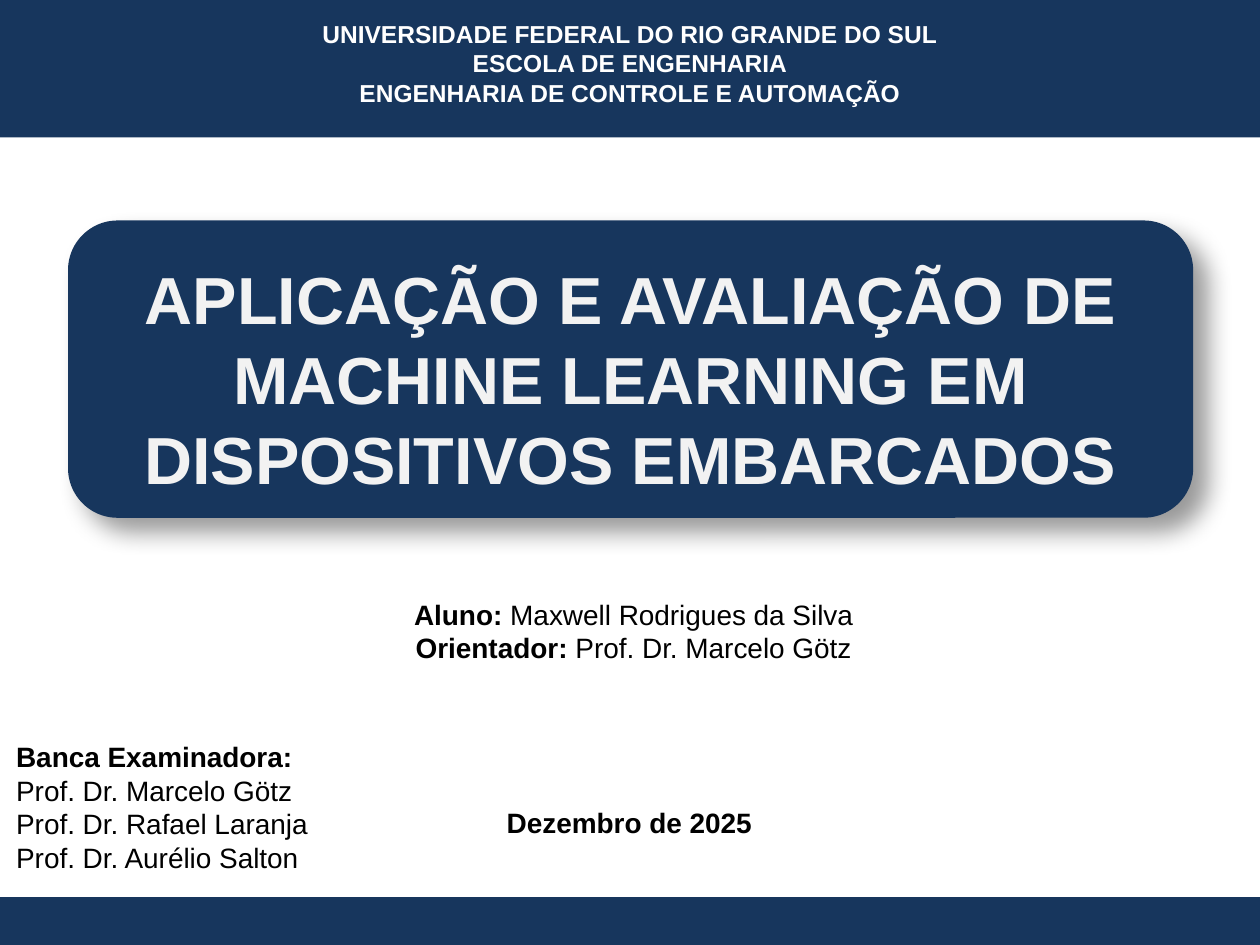
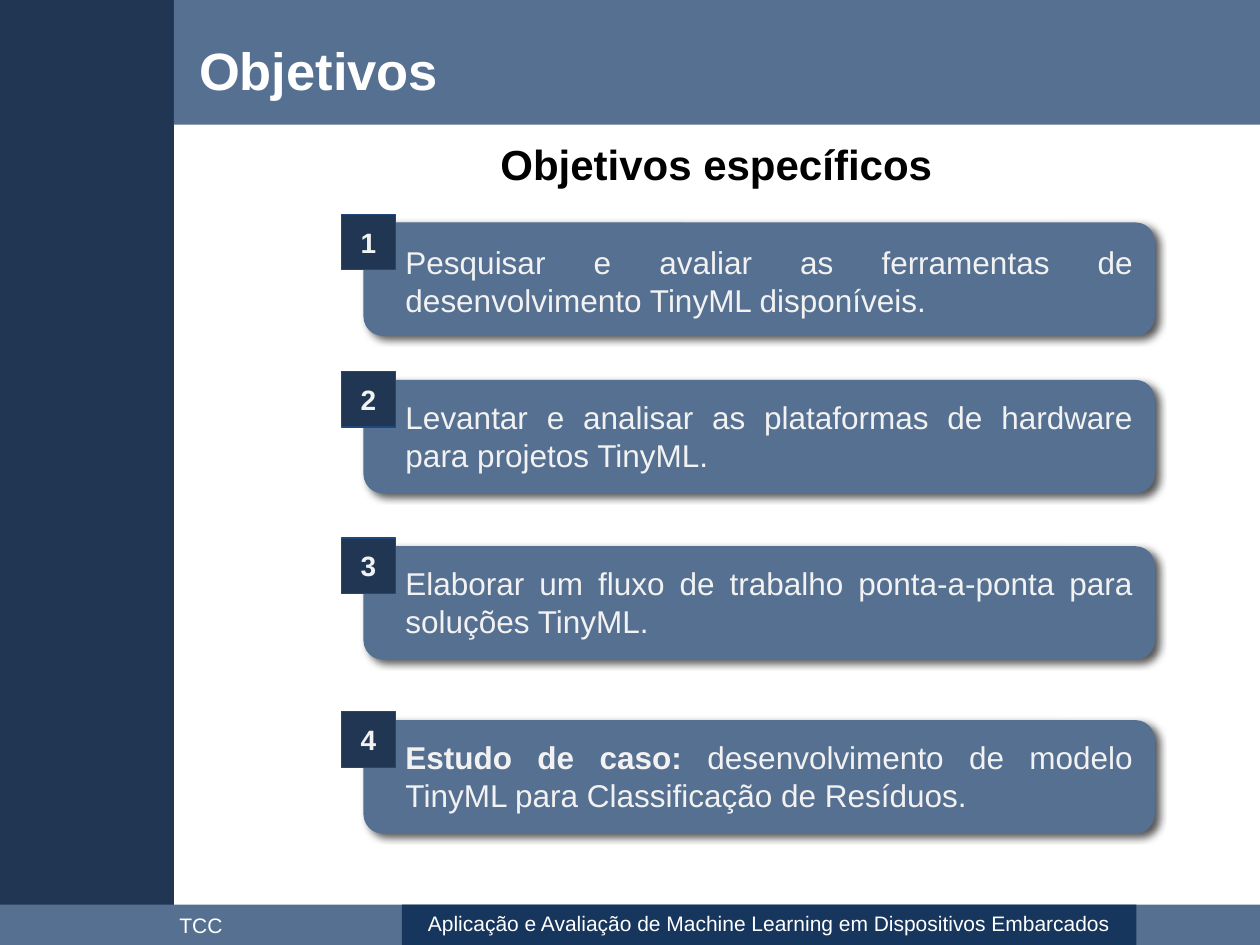
import pptx
import pptx.util
import pptx.dml.color
import pptx.enum.shapes
import pptx.enum.text
import pptx.oxml

Inches, Pt = pptx.util.Inches, pptx.util.Pt
RGBColor = pptx.dml.color.RGBColor
SHAPE = pptx.enum.shapes.MSO_SHAPE
ALIGN = pptx.enum.text.PP_ALIGN
ANCHOR = pptx.enum.text.MSO_ANCHOR

NAVY = RGBColor(0x17, 0x36, 0x5D)
DARK = RGBColor(0x20, 0x36, 0x52)
STEEL = RGBColor(0x56, 0x70, 0x91)
EDGE = RGBColor(0x1F, 0x49, 0x7D)
PALE = RGBColor(0xF2, 0xF2, 0xF2)
WHITE = RGBColor(0xFF, 0xFF, 0xFF)
BLACK = RGBColor(0, 0, 0)
FONT = "Arial"

# Each paragraph is a pair: bold lead, regular remainder
INSTITUTION = [
    ("UNIVERSIDADE FEDERAL DO RIO GRANDE DO SUL", ""),
    ("ESCOLA DE ENGENHARIA", ""),
    ("ENGENHARIA DE CONTROLE E AUTOMAÇÃO", ""),
]
THESIS_TITLE = "APLICAÇÃO E AVALIAÇÃO DE MACHINE LEARNING EM DISPOSITIVOS EMBARCADOS"
AUTHORS = [
    ("Aluno:", " Maxwell Rodrigues da Silva"),
    ("Orientador:", " Prof. Dr. Marcelo Götz"),
]
COMMITTEE = [
    ("Banca Examinadora:", ""),
    ("", "Prof. Dr. Marcelo Götz"),
    ("", "Prof. Dr. Rafael Laranja"),
    ("", "Prof. Dr. Aurélio Salton"),
]
DATE = [("Dezembro de 2025", "")]

SECTION_TITLE = "Objetivos"
SUBTITLE = [("Objetivos específicos", "")]
# Card top, text top, bold lead, regular remainder
GOALS = [
    (1.77, 1.83, "", "Pesquisar e avaliar as ferramentas de desenvolvimento TinyML disponíveis."),
    (3.02, 3.06, "", "Levantar e analisar as plataformas de hardware para projetos TinyML."),
    (4.34, 4.38, "", "Elaborar um fluxo de trabalho ponta-a-ponta para soluções TinyML."),
    (5.72, 5.76, "Estudo de caso:", " desenvolvimento de modelo TinyML para Classificação de Resíduos."),
]
FOOTER_LABEL = [("", "TCC")]
FOOTER_TITLE = [("", "Aplicação e Avaliação de Machine Learning em Dispositivos Embarcados")]

# Opacity (%), blur (pt), distance (pt), angle (degrees)
TITLE_SHADOW = (40, 14, 12, 45)
CARD_SHADOW = (65, 4.5, 3, 38)


def write(frame, paragraphs, size, color, align=ALIGN.CENTER, anchor=ANCHOR.TOP, inset=0.05):
    """Fill a text frame with (bold lead, regular remainder) paragraphs."""
    frame.word_wrap = True
    frame.auto_size = pptx.enum.text.MSO_AUTO_SIZE.NONE
    frame.vertical_anchor = anchor
    frame.margin_left = frame.margin_right = Inches(0.1)
    frame.margin_top = frame.margin_bottom = Inches(inset)
    for index, parts in enumerate(paragraphs):
        paragraph = frame.add_paragraph() if index else frame.paragraphs[0]
        paragraph.alignment = align
        for text, bold in zip(parts, (True, False)):
            if text:
                run = paragraph.add_run()
                run.text = text
                run.font.name = FONT
                run.font.size = Pt(size)
                run.font.bold = bold
                run.font.color.rgb = color


def add_text(slide, box, paragraphs, size, color, **style):
    textbox = slide.shapes.add_textbox(*map(Inches, box))
    write(textbox.text_frame, paragraphs, size, color, **style)


def add_block(slide, box, fill, kind=SHAPE.RECTANGLE, line=None, shadow=None):
    block = slide.shapes.add_shape(kind, *map(Inches, box))
    block.fill.solid()
    block.fill.fore_color.rgb = fill
    if line is None:
        block.line.fill.background()
    else:
        block.line.color.rgb = line
        block.line.width = Pt(0.75)
    block.shadow.inherit = False
    if shadow:
        add_shadow(block, *shadow)
    return block


def add_shadow(block, opacity, blur, distance, angle):
    effects = block._element.spPr.find(pptx.oxml.ns.qn("a:effectLst"))
    effects.append(pptx.oxml.parse_xml(
        f'<a:outerShdw {pptx.oxml.ns.nsdecls("a")} blurRad="{Pt(blur)}" dist="{Pt(distance)}" '
        f'dir="{angle * 60000}" algn="tl" rotWithShape="0"><a:srgbClr val="000000">'
        f'<a:alpha val="{opacity * 1000}"/></a:srgbClr></a:outerShdw>'))


def place_title(slide, box, text, size, color, align):
    """Format the title placeholder and bring it in front of the bands."""
    title = slide.shapes.title
    title.left, title.top, title.width, title.height = map(Inches, box)
    write(title.text_frame, [(text, "")], size, color, align=align)
    slide.shapes._spTree.append(title._element)


def build_cover(slide):
    add_block(slide, (0, 0, 10, 1.09), NAVY)
    add_text(slide, (1.67, 0.1, 6.66, 0.79), INSTITUTION, 14, WHITE)
    add_block(slide, (0.54, 1.75, 8.93, 2.36), NAVY, SHAPE.ROUNDED_RECTANGLE, shadow=TITLE_SHADOW)
    place_title(slide, (0.54, 2, 8.93, 1.95), THESIS_TITLE, 38, PALE, ALIGN.CENTER)
    add_text(slide, (0.03, 4.69, 10, 0.65), AUTHORS, 16, BLACK)
    add_text(slide, (0.03, 5.82, 3.5, 1.2), COMMITTEE, 16, BLACK, align=ALIGN.LEFT)
    add_text(slide, (3.56, 6.29, 2.87, 0.47), DATE, 16, BLACK, inset=0.1)
    add_block(slide, (0, 7.12, 10, 0.38), NAVY)


def add_goal(slide, number, card_top, text_top, lead, remainder):
    add_block(slide, (2.89, card_top, 6.27, 0.89), STEEL, SHAPE.ROUNDED_RECTANGLE,
              line=STEEL, shadow=CARD_SHADOW)
    badge = add_block(slide, (2.71, card_top - 0.07, 0.43, 0.44), DARK, line=EDGE)
    write(badge.text_frame, [(str(number), "")], 16, PALE, anchor=ANCHOR.MIDDLE, inset=0.1)
    add_text(slide, (3.12, text_top, 5.97, 0.81), [(lead, remainder)], 18, PALE,
             align=ALIGN.JUSTIFY, inset=0.1)


def build_goals(slide):
    add_block(slide, (0, 0, 1.38, 7.5), DARK)
    add_block(slide, (1.38, 0, 8.62, 0.99), STEEL)
    place_title(slide, (1.48, 0.25, 6.66, 0.64), SECTION_TITLE, 30, WHITE, ALIGN.LEFT)
    add_text(slide, (1.62, 1.05, 8.13, 0.5), SUBTITLE, 24, BLACK)
    for number, goal in enumerate(GOALS, 1):
        add_goal(slide, number, *goal)
    add_block(slide, (0, 7.18, 10, 0.32), STEEL)
    footer = add_block(slide, (3.19, 7.18, 5.83, 0.34), NAVY)
    write(footer.text_frame, FOOTER_TITLE, 12, WHITE)
    add_text(slide, (0, 7.19, 3.19, 0.31), FOOTER_LABEL, 12, WHITE)


def main():
    deck = pptx.Presentation()
    deck.slide_width, deck.slide_height = Inches(10), Inches(7.5)
    title_only = deck.slide_layouts[5]
    for build in (build_cover, build_goals):
        build(deck.slides.add_slide(title_only))
    deck.save("out.pptx")


if __name__ == "__main__":
    main()
